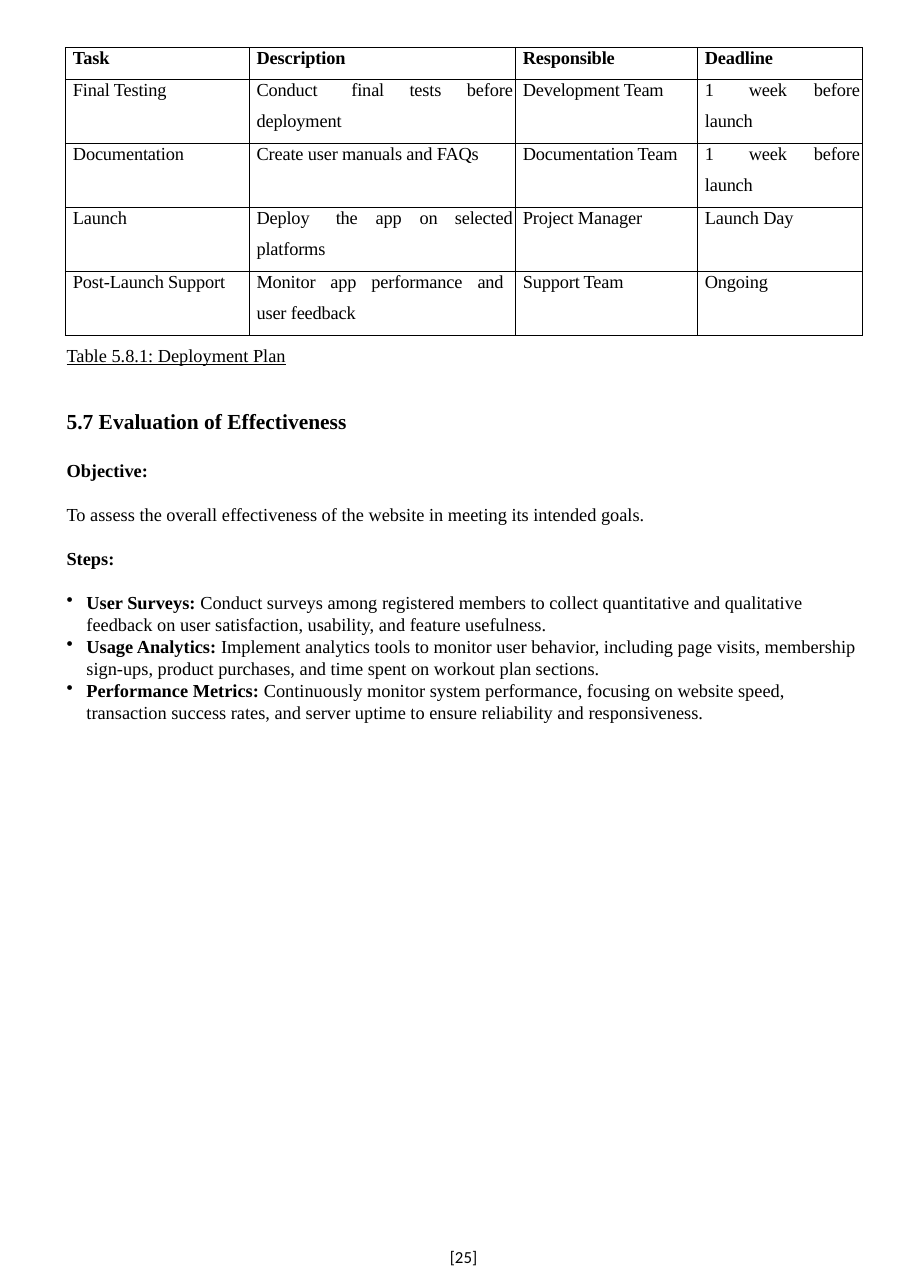
"""Build a report page with a deployment plan table and an evaluation section."""
from lxml.etree import SubElement
from pptx import Presentation
from pptx.dml.color import RGBColor
from pptx.enum.text import MSO_ANCHOR as Anchor, MSO_AUTO_SIZE as AutoSize, PP_ALIGN as Align
from pptx.oxml.ns import qn
from pptx.util import Pt

BLACK = RGBColor(0, 0, 0)
SERIF = "Times New Roman"
LEFT, WIDTH = 43.5, 523.5
CELL_INDENT = 5
BULLET_INDENT = 13

COLUMN_WIDTHS = [120, 174, 119, 108]
ROW_HEIGHTS = [21] + [41.8] * 4
ROWS = [
    ["Task", "Description", "Responsible", "Deadline"],
    ["Final Testing", "Conduct\tfinal\ttests\tbefore\ndeployment", "Development Team",
     "1\tweek\tbefore\nlaunch"],
    ["Documentation", "Create user manuals and FAQs", "Documentation Team",
     "1\tweek\tbefore\nlaunch"],
    ["Launch", "Deploy\tthe\tapp\ton\tselected\nplatforms", "Project Manager", "Launch Day"],
    ["Post-Launch Support", "Monitor\tapp\tperformance\tand\nuser feedback", "Support Team",
     "Ongoing"],
]
TAB_STOPS = {
    "Conduct": [62, 100, 137.5],
    "1": [28.8, 71.3],
    "Deploy": [51.8, 77.8, 106.6, 129.6],
    "Monitor": [48.3, 75.1, 144.4],
}
INTRODUCTION = [
    ("Objective:", True),
    ("To assess the overall effectiveness of the website in meeting its intended goals.", False),
    ("Steps:", True),
]
STEPS = [
    ("User Surveys:", " Conduct surveys among registered members to collect quantitative and "
     "qualitative feedback on user satisfaction, usability, and feature usefulness."),
    ("Usage Analytics:", " Implement analytics tools to monitor user behavior, including page "
     "visits, membership sign-ups, product purchases, and time spent on workout plan sections."),
    ("Performance Metrics:", " Continuously monitor system performance, focusing on website "
     "speed, transaction success rates, and server uptime to ensure reliability and "
     "responsiveness."),
]


def add_run(paragraph, text, **changes):
    run = paragraph.add_run()
    run.text = text
    run.font.color.rgb = BLACK
    for name, value in {"name": SERIF, "size": Pt(12), "bold": False, **changes}.items():
        setattr(run.font, name, value)
    return run


def prepare_frame(shape, left, top, width, height, wrap=True):
    box = {"left": left, "top": top, "width": width, "height": height}
    for name, value in box.items():
        setattr(shape, name, Pt(value))
    frame = shape.text_frame
    settings = {"margin_left": 0, "margin_right": 0, "margin_top": 0, "margin_bottom": 0,
                "word_wrap": wrap, "auto_size": AutoSize.NONE, "vertical_anchor": Anchor.TOP}
    for name, value in settings.items():
        setattr(frame, name, value)
    return frame


presentation = Presentation()
presentation.slide_width = Pt(594.72)
presentation.slide_height = Pt(841.68)
slide = presentation.slides.add_slide(presentation.slide_layouts[5])

plan = slide.shapes.add_table(len(ROWS), len(COLUMN_WIDTHS), Pt(42.7), Pt(31),
                              Pt(sum(COLUMN_WIDTHS)), Pt(sum(ROW_HEIGHTS))).table
plan.first_row = False
plan.horz_banding = False
for column, width in zip(plan.columns, COLUMN_WIDTHS):
    column.width = Pt(width)
for row_index, (row, height) in enumerate(zip(plan.rows, ROW_HEIGHTS)):
    row.height = Pt(height)
    for cell, text in zip(row.cells, ROWS[row_index]):
        for side in ("left", "right", "top", "bottom"):
            setattr(cell, f"margin_{side}", 0)
        properties = cell._tc.get_or_add_tcPr()
        for edge in ("a:lnL", "a:lnR", "a:lnT", "a:lnB"):
            border = SubElement(properties, qn(edge), w=str(Pt(0.5)))
            fill = SubElement(border, qn("a:solidFill"))
            SubElement(fill, qn("a:srgbClr"), val=str(BLACK))
        cell.fill.background()
        for line_index, line in enumerate(text.split("\n")):
            frame = cell.text_frame
            paragraph = frame.add_paragraph() if line_index else frame.paragraphs[0]
            paragraph.line_spacing = Pt(13.8)
            paragraph.space_before = Pt(6.2 if line_index else 0)
            paragraph_properties = paragraph._p.get_or_add_pPr()
            paragraph_properties.set("marL", str(Pt(CELL_INDENT)))
            if "\t" in line:
                tab_list = SubElement(paragraph_properties, qn("a:tabLst"))
                for stop in TAB_STOPS[line.split("\t")[0]]:
                    SubElement(tab_list, qn("a:tab"), pos=str(Pt(stop)), algn="l")
            run = add_run(paragraph, line, bold=row_index == 0)
            run._r.get_or_add_rPr().set("spc", "-10")

caption = prepare_frame(slide.shapes.add_textbox(0, 0, 0, 0), LEFT, 225, WIDTH, 15)
add_run(caption.paragraphs[0], "Table 5.8.1: Deployment Plan", underline=True)

heading = prepare_frame(slide.shapes.title, LEFT, 267, WIDTH, 17)
heading.paragraphs[0].alignment = Align.LEFT
add_run(heading.paragraphs[0], "5.7 Evaluation of Effectiveness", size=Pt(14), bold=True)

evaluation = prepare_frame(slide.shapes.add_textbox(0, 0, 0, 0), LEFT, 300, WIDTH, 175)
for index, (text, bold) in enumerate(INTRODUCTION):
    paragraph = evaluation.add_paragraph() if index else evaluation.paragraphs[0]
    paragraph.space_before = Pt(14.4 if index else 0)
    add_run(paragraph, text, bold=bold)
for index, (step, explanation) in enumerate(STEPS):
    paragraph = evaluation.add_paragraph()
    paragraph.space_before = Pt(0 if index else 14.4)
    paragraph_properties = paragraph._p.get_or_add_pPr()
    paragraph_properties.set("marL", str(Pt(BULLET_INDENT)))
    paragraph_properties.set("indent", str(Pt(-BULLET_INDENT)))
    SubElement(paragraph_properties, qn("a:buChar"), char="•")
    add_run(paragraph, step, bold=True)
    add_run(paragraph, explanation)

page_number = prepare_frame(slide.shapes.add_textbox(0, 0, 0, 0), 294, 816.5, 20, 13, wrap=False)
page_number.paragraphs[0].line_spacing = Pt(11.5)
add_run(page_number.paragraphs[0], "[25]", name="Calibri", size=Pt(11))

presentation.save("out.pptx")
